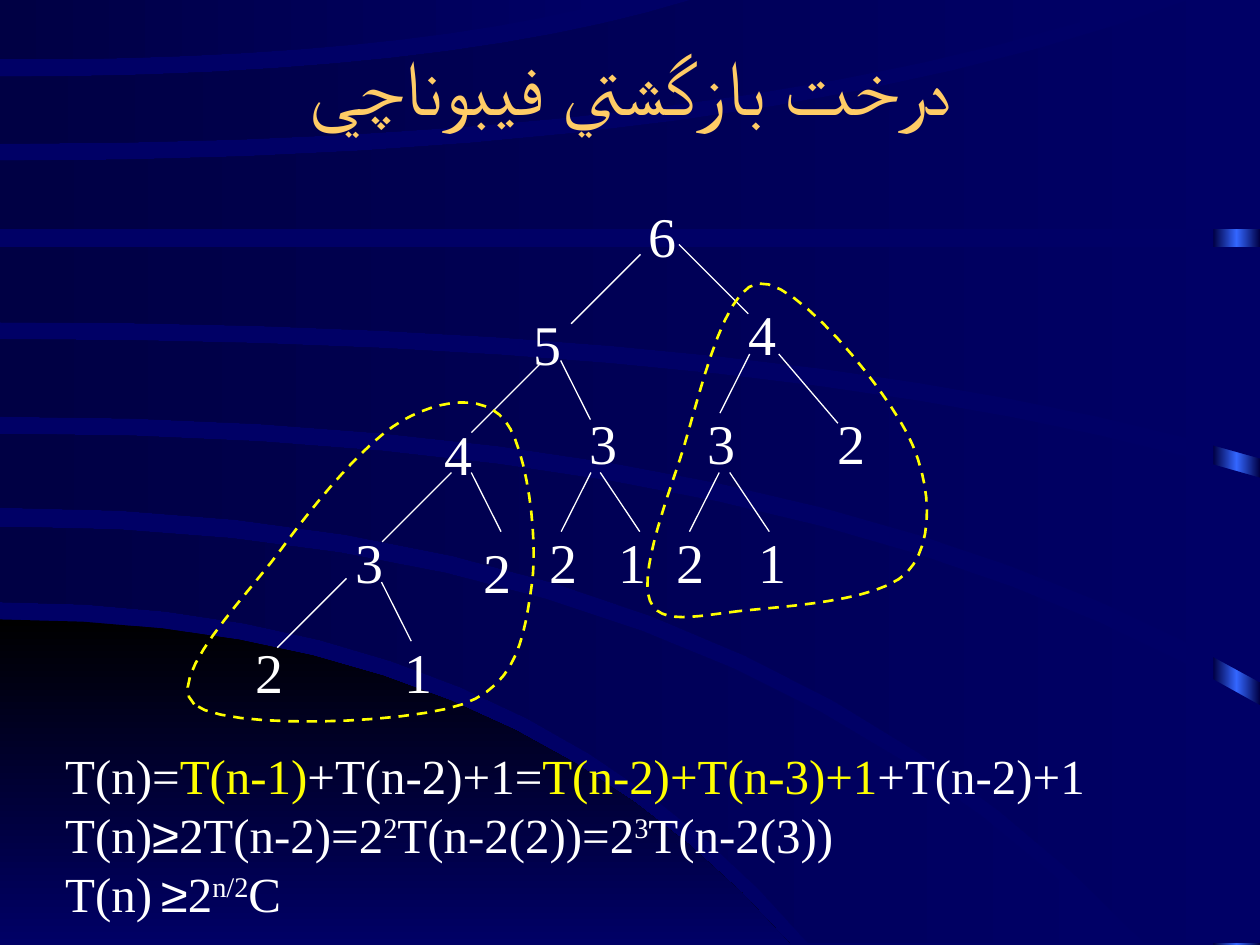
from lxml import etree
from pptx import Presentation
from pptx.dml.color import RGBColor
from pptx.enum.dml import MSO_LINE
from pptx.enum.shapes import MSO_CONNECTOR, MSO_SHAPE
from pptx.enum.text import MSO_ANCHOR, MSO_AUTO_SIZE, PP_ALIGN
from pptx.oxml.ns import qn
from pptx.util import Pt

COLORS = {"blue": "000066", "navy": "000044", "glow": "3366FF", "black": "000000",
          "gold": "FFCC66", "white": "FFFFFF", "yellow": "FFFF00"}
SERIF, SANS = "Times New Roman", "Arial"
WIDTH, HEIGHT = 720, 540
CURVE_STEPS = 12
BEND = 0.64  # how far an arc's control point lies along its width

# Arcs start level at the left edge: height there, then x and y of the end
HILL = (354, 452, HEIGHT), (HEIGHT, 452, HEIGHT)
BANDS = [
    ((301, 643, 539), (344, 462, 539)),
    ((248, WIDTH, 403), (290, 654, 539)),
    ((194, WIDTH, 273), (238, WIDTH, 390)),
    ((141, WIDTH, 141), (184, WIDTH, 262)),
    ((92, 679, 0), (131, WIDTH, 131)),
    ((44, 395, 0), (82, 656, 0)),
    ((0, 353, 0), (34, 353, 0)),
]

# Tree labels by the top of their box, each with its left side
NODES = {
    111.6: {363.6: "6"},
    167.8: {420.5: "4"},
    173.5: {298: "5"},
    230: {329.8: "3", 397.4: "3", 471.6: "2"},
    236: {247: "4"},
    298: {195.8: "3", 306.7: "2", 346.3: "1", 379.4: "2", 426.2: "1"},
    303.8: {269.3: "2"},
    360.7: {139: "2", 224: "1"},
}

# Tree edges by run and drop, each with its upper end
WIDE, STEEP = 39.6, 33.8
EDGES = {
    (-WIDE, WIDE): [(366, 145.4), (309, 207.6), (258, 270), (198, 330.5)],
    (WIDE, WIDE): [(388, 139.7)],
    (STEEP, WIDE): [(445, 202.3)],
    (22.6, STEEP): [(417, 270), (343, 270)],
    (17, STEEP): [(269.3, 270), (320.4, 206), (218, 332.6)],
    (-17, STEEP): [(337.7, 270), (411, 270), (428.4, 202.3)],
}

# Knots of the smooth loops round the repeated subtrees
LOOPS = [
    [(111, 402.5), (160.6, 314), (229.7, 240.5), (288.7, 240.5), (303.8, 334.8),
     (264.2, 402.5)],
    [(422.6, 349.2), (371.5, 343.4), (388, 264.2), (433.4, 162), (518.4, 247.7),
     (518.4, 327)],
]


def run(text, color="white", size=28, font=SERIF, raised=False):
    return text, color, size, font, raised


FORMULAS = [
    [run("T(n)="), run("T(n-1)", "yellow"), run("+T(n-2)+1="),
     run("T(n-2)+T(n-3)+1", "yellow"), run("+T(n-2)+1")],
    [run("T(n)"), run("≥", font=SANS), run("2T(n-2)=2"), run("2", raised=True),
     run("T(n-2(2))=2"), run("3", raised=True), run("T(n-2(3))")],
    [run("T(n)"), run(" ", size=20), run("≥", font=SANS), run("2"),
     run("n/2", raised=True), run("C")],
]


def rgb(name):
    return RGBColor.from_string(COLORS[name])


def fill_gradient(shape, angle, names):
    """Fill with evenly spaced colours; angle is counter-clockwise."""
    shape.shadow.inherit = False
    shape.line.fill.background()
    shape.fill.gradient()
    shape.fill.gradient_angle = angle
    stops = shape.element.spPr.find(".//" + qn("a:gsLst"))
    for stop in list(stops):
        stops.remove(stop)
    for index, name in enumerate(names):
        position = str(index * 100000 // (len(names) - 1))
        stop = etree.SubElement(stops, qn("a:gs"), pos=position)
        etree.SubElement(stop, qn("a:srgbClr"), val=COLORS[name])


def add_outline(slide, points):
    points = [(Pt(x), Pt(y)) for x, y in points]
    builder = slide.shapes.build_freeform(*points[0])
    builder.add_line_segments(points[1:], close=True)
    return builder.convert_to_shape()


def arc_points(start_y, end_x, end_y):
    """Sample a quadratic curve that leaves the left edge level."""
    steps = [step / CURVE_STEPS for step in range(CURVE_STEPS + 1)]
    return [(end_x * (2 * BEND * t * (1 - t) + t * t),
             start_y + (end_y - start_y) * t * t) for t in steps]


def add_band(slide, arcs, angle, names):
    """Fill between two arcs, squaring off the right end."""
    upper, lower = arcs
    corner = max(upper[1], lower[1]), min(arcs, key=lambda arc: arc[1])[2]
    points = arc_points(*upper) + [corner] + arc_points(*lower)[::-1]
    fill_gradient(add_outline(slide, points), angle, names)


def loop_points(knots):
    """Sample a closed Catmull-Rom curve through the knots."""
    count = len(knots)
    points = []
    for index in range(count):
        near = [knots[(index + shift) % count] for shift in (-1, 0, 1, 2)]
        for step in range(CURVE_STEPS):
            t = step / CURVE_STEPS
            points.append(tuple(
                b + t * (c - a) / 2 + t * t * (2 * a - 5 * b + 4 * c - d) / 2
                + t ** 3 * (3 * b - a - 3 * c + d) / 2
                for a, b, c, d in zip(*near)))
    return points


def add_loop(slide, knots):
    shape = add_outline(slide, loop_points(knots))
    shape.shadow.inherit = False
    shape.fill.background()
    shape.line.color.rgb = rgb("yellow")
    shape.line.width = Pt(1.5)
    shape.line.dash_style = MSO_LINE.DASH


def add_edge(slide, x, y, across, down):
    line = slide.shapes.add_connector(MSO_CONNECTOR.STRAIGHT, Pt(x), Pt(y),
                                      Pt(x + across), Pt(y + down))
    line.line.color.rgb = rgb("white")
    line.line.width = Pt(0.75)
    etree.SubElement(line.element.spPr, qn("a:effectLst"))


def add_text(slide, left, top, width, height, lines):
    frame = slide.shapes.add_textbox(Pt(left), Pt(top), Pt(width), Pt(height)).text_frame
    frame.word_wrap = False
    frame.auto_size = MSO_AUTO_SIZE.SHAPE_TO_FIT_TEXT
    for index, runs in enumerate(lines):
        paragraph = frame.add_paragraph() if index else frame.paragraphs[0]
        for text, color, size, font, raised in runs:
            piece = paragraph.add_run()
            piece.text = text
            piece.font.size = Pt(size)
            piece.font.name = font
            piece.font.color.rgb = rgb(color)
            if raised:
                piece.font._element.set("baseline", "30000")
    return frame


def add_title(slide, text):
    frame = add_text(slide, 54, 3.6, 612, 90, [[run(text, "gold", 44)]])
    frame.auto_size = MSO_AUTO_SIZE.NONE
    frame.word_wrap = True
    frame.vertical_anchor = MSO_ANCHOR.MIDDLE
    frame.paragraphs[0].alignment = PP_ALIGN.CENTER


def add_background(slide):
    slide.background.fill.solid()
    slide.background.fill.fore_color.rgb = rgb("blue")
    rail = slide.shapes.add_shape(MSO_SHAPE.RECTANGLE, Pt(WIDTH - 26.6), Pt(0),
                                  Pt(26.6), Pt(HEIGHT))
    fill_gradient(rail, 180, ["navy", "glow", "navy"])
    add_band(slide, HILL, 270, ["black", "blue"])
    for arcs in BANDS:
        add_band(slide, arcs, 180, ["blue", "navy"])


def add_tree(slide):
    for top, row in NODES.items():
        for left, label in row.items():
            add_text(slide, left, top, 30.2, 46, [[run(label, size=32)]])
    for step, starts in EDGES.items():
        for start in starts:
            add_edge(slide, *start, *step)


def main():
    presentation = Presentation()
    presentation.slide_width, presentation.slide_height = Pt(WIDTH), Pt(HEIGHT)
    slide = presentation.slides.add_slide(presentation.slide_layouts[6])
    add_background(slide)
    add_title(slide, "درخت بازگشتي فيبوناچي")
    add_tree(slide)
    for knots in LOOPS:
        add_loop(slide, knots)
    add_text(slide, 30.2, 422.6, 597, 108, FORMULAS)
    presentation.save("out.pptx")


if __name__ == "__main__":
    main()
